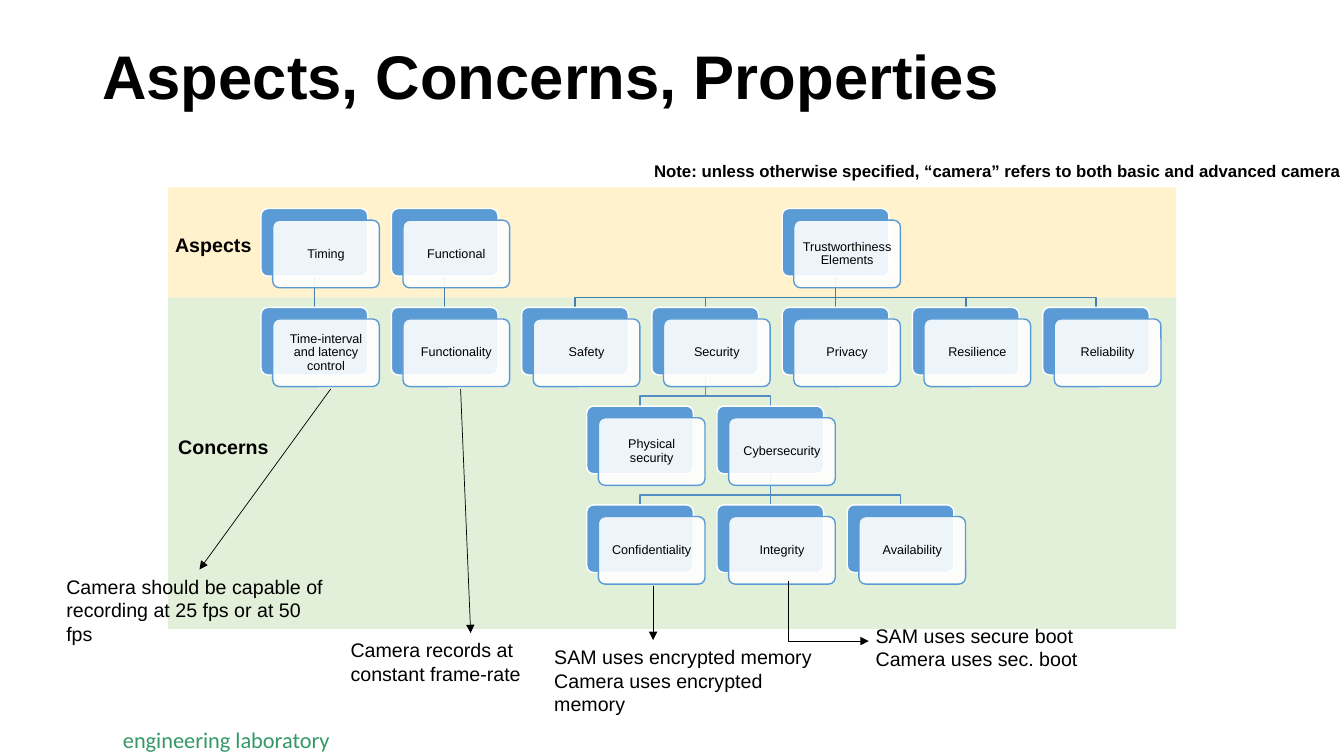
from dataclasses import dataclass
from lxml import etree
from pptx import Presentation
from pptx.dml.color import RGBColor
from pptx.enum import shapes, text
from pptx.oxml import ns
from pptx.util import Pt


@dataclass(frozen=True)
class Theme:
    font: str = "Arial"
    footer_font: str = "Calibri"
    ink: str = "000000"
    paper: str = "FFFFFF"
    card: str = "5B9BD5"
    aspects_band: str = "FFF2CC"
    concerns_band: str = "E2F0D9"
    aspect_link: str = "497CAB"
    concern_link: str = "538DC1"
    footer: str = "339966"
    title_size: int = 44
    footer_size: int = 16
    body_size: int = 14
    note_size: int = 12
    card_size: int = 9


@dataclass(frozen=True)
class Box:
    left: float
    top: float
    width: float
    height: float

    def inner(self, left, top, width, height):
        return Box(self.left + left, self.top + top, width, height)

    def lengths(self):
        return Pt(self.left), Pt(self.top), Pt(self.width), Pt(self.height)


THEME = Theme()
COLUMN_PITCH, ROW_PITCH = 93.05, 70.56
CARD_WIDTH, CARD_HEIGHT, CARD_SHIFT = 76.2, 48.3, 8.3
BUS_DROP = 15.1

CARDS = [
    ("Timing", 0, 0),
    ("Functional", 1, 0),
    ("Trustworthiness Elements", 4, 0),
    ("Time-interval and latency control", 0, 1),
    ("Functionality", 1, 1),
    ("Safety", 2, 1),
    ("Security", 3, 1),
    ("Privacy", 4, 1),
    ("Resilience", 5, 1),
    ("Reliability", 6, 1),
    ("Physical security", 2.5, 2),
    ("Cybersecurity", 3.5, 2),
    ("Confidentiality", 2.5, 3),
    ("Integrity", 3.5, 3),
    ("Availability", 4.5, 3),
]
LINKS = [
    (0, 0, [0]),
    (1, 0, [1]),
    (4, 0, [2, 6, 3, 5, 4]),
    (3, 1, [2.5, 3.5]),
    (3.5, 2, [2.5, 4.5, 3.5]),
]
CALLOUTS = [
    (["Camera should be capable of recording at 25 fps or at 50 fps"], (-79.9, 272.9, 203.8, 58)),
    (["Camera records at constant frame-rate"], (123.1, 318.3, 185.8, 41)),
    (["SAM uses encrypted memory", "Camera uses encrypted memory"], (268.6, 323.3, 203.8, 58)),
    (["SAM uses secure boot", "Camera uses sec. boot"], (498.2, 308.2, 247, 41)),
]
ARROWS = [
    ((116, 144), (22.3, 272.9)),
    ((208.8, 144), (216, 318.3)),
    ((346.3, 284.4), (346.3, 323.3)),
]
ELBOW_ARROW = ((442.8, 280.8), (500.4, 324))


def color(value):
    return RGBColor.from_string(value)


def fill_text(frame, lines, size, bold=False, ink=THEME.ink, font=THEME.font, spacing=1.0,
              align=text.PP_ALIGN.LEFT):
    frame.text = "\n".join(lines)
    for paragraph in frame.paragraphs:
        paragraph.alignment = align
        paragraph.line_spacing = spacing
        for run in paragraph.runs:
            run.font.name = font
            run.font.size = Pt(size)
            run.font.bold = bold
            run.font.color.rgb = color(ink)


def set_insets(frame, left, top, right, bottom):
    frame.margin_left, frame.margin_top = Pt(left), Pt(top)
    frame.margin_right, frame.margin_bottom = Pt(right), Pt(bottom)


def add_label(slide, box, lines, size, wrap=True, **style):
    frame = slide.shapes.add_textbox(*box.lengths()).text_frame
    frame.word_wrap = wrap
    fill_text(frame, lines, size, **style)
    return frame


def add_block(slide, kind, box, fill, line=None):
    shape = slide.shapes.add_shape(kind, *box.lengths())
    shape.shadow.inherit = False
    shape.fill.solid()
    shape.fill.fore_color.rgb = color(fill)
    if line:
        shape.line.color.rgb = color(line)
        shape.line.width = Pt(1)
    else:
        shape.line.fill.background()
    return shape


def add_card(slide, box, caption):
    rounded = shapes.MSO_SHAPE.ROUNDED_RECTANGLE
    back = add_block(slide, rounded, box, THEME.card, THEME.paper)
    front_box = box.inner(CARD_SHIFT, CARD_SHIFT, box.width, box.height)
    front = add_block(slide, rounded, front_box, THEME.paper, THEME.card)
    back.adjustments[0] = front.adjustments[0] = 0.1
    fill_color = front.fill._xPr.find(".//" + ns.qn("a:srgbClr"))
    etree.SubElement(fill_color, ns.qn("a:alpha"), val="90000")
    frame = front.text_frame
    frame.word_wrap = True
    frame.vertical_anchor = text.MSO_ANCHOR.MIDDLE
    set_insets(frame, 4, 4, 4, 4)
    fill_text(frame, [caption], THEME.card_size, spacing=0.9, align=text.PP_ALIGN.CENTER)


def add_link(slide, points, line):
    start, *rest = [(Pt(x), Pt(y)) for x, y in points]
    builder = slide.shapes.build_freeform(*start)
    builder.add_line_segments(rest, close=False)
    shape = builder.convert_to_shape()
    shape.shadow.inherit = False
    shape.fill.background()
    shape.line.color.rgb = color(line)
    shape.line.width = Pt(1)


def add_arrow(slide, box, start, end, kind=shapes.MSO_CONNECTOR.STRAIGHT):
    points = [Pt(value) for x, y in (start, end) for value in (box.left + x, box.top + y)]
    connector = slide.shapes.add_connector(kind, *points)
    connector.line.color.rgb = color(THEME.ink)
    connector.line.width = Pt(0.5)
    etree.SubElement(connector.line._get_or_add_ln(), ns.qn("a:tailEnd"), type="triangle")
    etree.SubElement(connector._element.spPr, ns.qn("a:effectLst"))
    return connector


def add_elbow_arrow(slide, box, start, end):
    middle_x, middle_y = (start[0] + end[0]) / 2, (start[1] + end[1]) / 2
    half_run, half_drop = (end[0] - start[0]) / 2, (end[1] - start[1]) / 2
    connector = add_arrow(slide, box, (middle_x + half_drop, middle_y - half_run),
                          (middle_x - half_drop, middle_y + half_run), shapes.MSO_CONNECTOR.ELBOW)
    properties = connector._element.spPr
    properties.find(ns.qn("a:xfrm")).set("rot", "16200000")
    properties.find(ns.qn("a:prstGeom")).set("prst", "bentConnector2")


def draw_bands(slide, box):
    aspects_height = 78.5
    rectangle = shapes.MSO_SHAPE.RECTANGLE
    concerns = box.inner(0, aspects_height, box.width, box.height - aspects_height)
    add_block(slide, rectangle, concerns, THEME.concerns_band)
    add_block(slide, rectangle, box.inner(0, 0, box.width, aspects_height), THEME.aspects_band)
    add_label(slide, box.inner(-2.2, 28.8, 69, 24.2), ["Aspects"], THEME.body_size, False, bold=True)
    add_label(slide, box.inner(0, 173.5, 79.2, 24.2), ["Concerns"], THEME.body_size, False, bold=True)


def draw_tree(slide, box):
    def center(column):
        return box.left + column * COLUMN_PITCH + CARD_WIDTH / 2

    for parent, row, children in LINKS:
        top = box.top + row * ROW_PITCH + CARD_HEIGHT
        bottom = box.top + (row + 1) * ROW_PITCH
        for child in children:
            bus = [(center(column), top + BUS_DROP) for column in (parent, child)]
            points = [(center(parent), top), *(bus if child != parent else []), (center(child), bottom)]
            add_link(slide, points, THEME.concern_link if row else THEME.aspect_link)
    for caption, column, row in CARDS:
        place = box.inner(column * COLUMN_PITCH, row * ROW_PITCH, CARD_WIDTH, CARD_HEIGHT)
        add_card(slide, place, caption)


def draw_callouts(slide, box):
    for lines, place in CALLOUTS:
        add_label(slide, box.inner(*place), lines, THEME.body_size)
    for start, end in ARROWS:
        add_arrow(slide, box, start, end)
    add_elbow_arrow(slide, box, *ELBOW_ARROW)


def draw_headings(slide, box):
    title = add_label(slide, box.inner(66, 28.8, 828, 56.2), ["Aspects, Concerns, Properties"],
                      THEME.title_size, bold=True, spacing=0.9)
    title.vertical_anchor = text.MSO_ANCHOR.MIDDLE
    note = add_label(slide, box.inner(460.1, 111.6, 499.9, 21.8),
                     ["Note: unless otherwise specified, “camera” refers to both basic and advanced camera"],
                     THEME.note_size, False, bold=True)
    set_insets(note, 7.2, 3.6, 0, 3.6)
    footer = add_label(slide, box.inner(87.8, 518.4, 149.8, 19.4), ["engineering laboratory"],
                       THEME.footer_size, False, ink=THEME.footer, font=THEME.footer_font)
    set_insets(footer, 0, 0, 0, 0)


def main():
    presentation = Presentation()
    presentation.slide_width, presentation.slide_height = Pt(960), Pt(540)
    slide = presentation.slides.add_slide(presentation.slide_layouts[6])
    board = Box(120.2, 133.9, 720, 315.4)
    draw_bands(slide, board)
    draw_tree(slide, board.inner(66.3, 15.1, 640, 265))
    draw_callouts(slide, board)
    draw_headings(slide, Box(0, 0, 960, 540))
    presentation.save("out.pptx")


if __name__ == "__main__":
    main()
